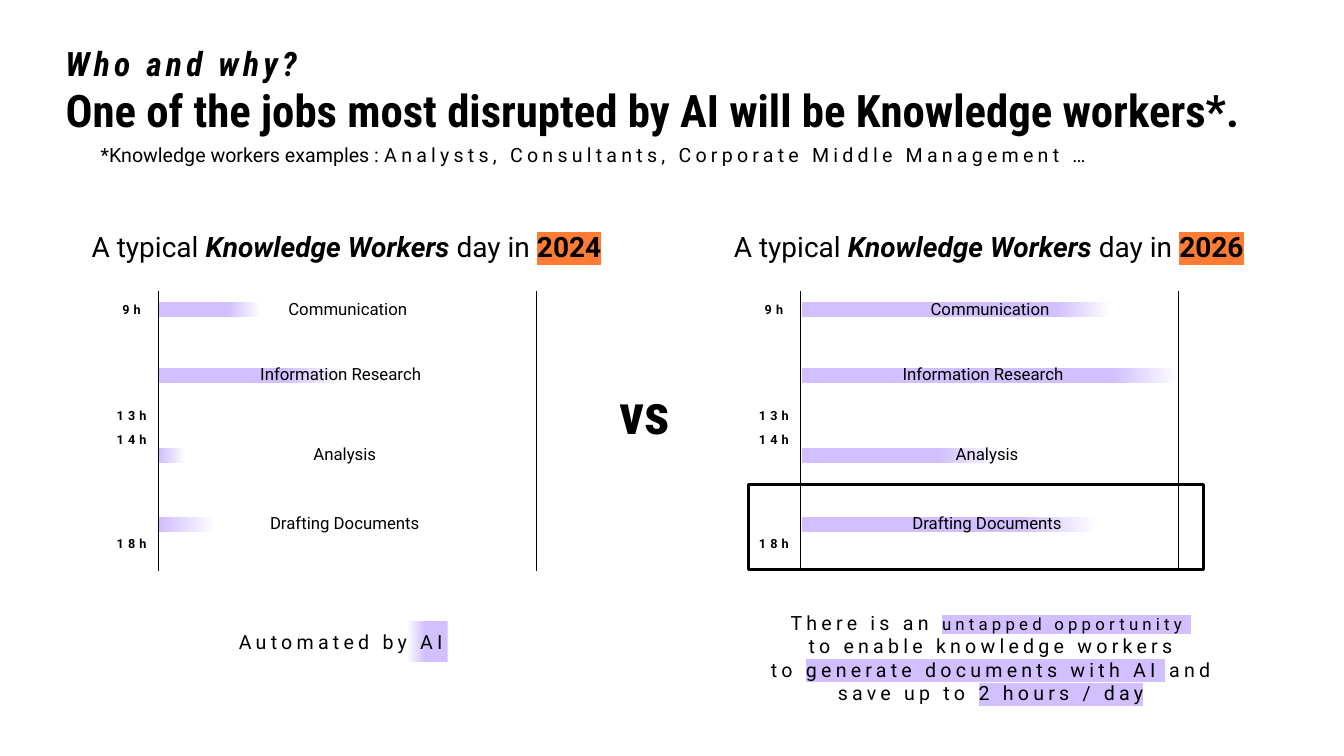
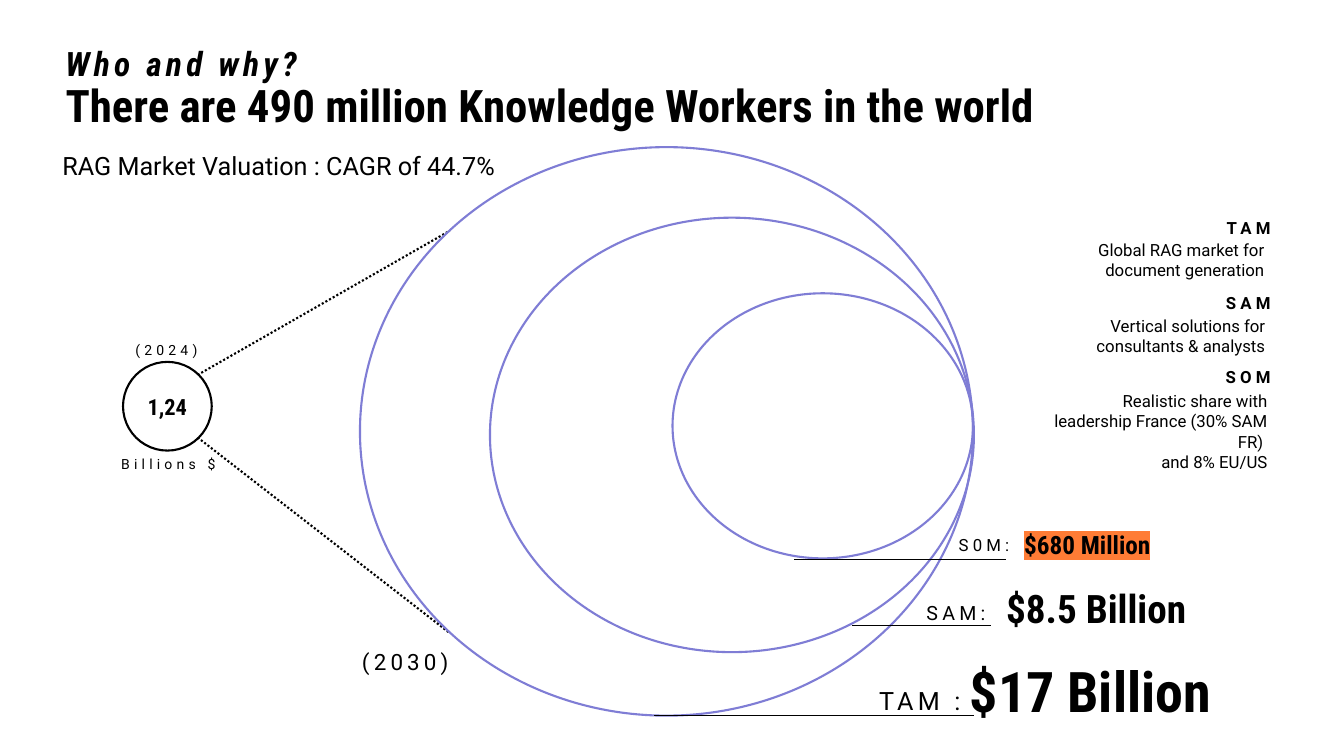
from dataclasses import dataclass, field
from typing import NamedTuple

from lxml.etree import Element, SubElement
from pptx import Presentation
from pptx.dml.color import RGBColor
from pptx.enum.dml import MSO_LINE as Dash
from pptx.enum.shapes import MSO_CONNECTOR as Link, MSO_SHAPE as Form
from pptx.enum.text import MSO_ANCHOR as Anchor, MSO_AUTO_SIZE as Fit, PP_ALIGN as Align
from pptx.oxml.ns import qn
from pptx.util import Inches, Pt

BLACK = RGBColor(0x00, 0x00, 0x00)
WHITE = RGBColor(0xFF, 0xFF, 0xFF)
LILAC = RGBColor(0xD1, 0xBF, 0xFF)
VIOLET = RGBColor(0x7F, 0x7D, 0xD5)
ORANGE = RGBColor(0xFF, 0x7C, 0x35)

BODY = "Roboto"
HEAD = "Roboto Condensed"
WIDE = 3  # letter spacing in points
SHIFT = 6.37  # from the left day plan to the right one


class Area(NamedTuple):
    left: float
    top: float
    width: float
    height: float


@dataclass
class Bit:
    """A run of text and what differs from the format of its box."""
    text: str
    form: dict = field(default_factory=dict)


@dataclass
class Task:
    name: str
    top: float
    mid: float
    fades: tuple  # per plan: where white ends and lilac starts, from the right


@dataclass
class Plan:
    year: str
    shift: float


@dataclass
class Market:
    name: str
    size: int
    at: tuple
    value: str
    big: int
    spot: tuple
    line: tuple  # x from, x to, y
    ring: Area
    mark: RGBColor | None = None


@dataclass
class Note:
    name: str
    top: float
    lines: list
    area: Area


# Text
def style(run, *, size, font=BODY, bold=False, italic=False, gap=0, mark=None) -> None:
    face = run.font
    face.size, face.bold, face.italic = Pt(size), bold, italic
    face.color.rgb = BLACK
    props = run._r.get_or_add_rPr()
    if gap:
        props.set("spc", str(gap * 100))
    if mark is not None:
        glow = Element(qn("a:highlight"))
        SubElement(glow, qn("a:srgbClr")).set("val", str(mark))
        props.find(qn("a:solidFill")).addnext(glow)
    face.name = font


def write(shape, text, *, align=Align.LEFT, anchor=Anchor.TOP, **form):
    """Text is a string, or a list of lines that are each a string or a list of bits."""
    frame = shape.text_frame
    frame.word_wrap, frame.auto_size = True, Fit.NONE
    frame.vertical_anchor = anchor
    for i, line in enumerate([text] if isinstance(text, str) else text):
        para = frame.add_paragraph() if i else frame.paragraphs[0]
        para.alignment = align
        for bit in [Bit(line)] if isinstance(line, str) else line:
            run = para.add_run()
            run.text = bit.text
            style(run, **(form | bit.form))
    return shape


def label(slide, area: Area, text, **form):
    return write(slide.shapes.add_textbox(*map(Inches, area)), text, **form)


# Shapes
def draw(slide, kind, area: Area, line: RGBColor | None = None, weight: float = 1.5):
    shape = slide.shapes.add_shape(kind, *map(Inches, area))
    shape.shadow.inherit = False
    shape.fill.background()
    if line is None:
        shape.line.fill.background()
    else:
        shape.line.color.rgb, shape.line.width = line, Pt(weight)
    return shape


def fade(slide, area: Area, *stops) -> None:
    """Fill from right to left, each stop a percentage and a colour."""
    fill = draw(slide, Form.RECTANGLE, area).fill
    fill.gradient()
    fill.gradient_angle = 180
    for stop, (place, tint) in zip(fill.gradient_stops, stops):
        stop.color.rgb = tint
        stop.position = place / 100


def rule(slide, x1, y1, x2, y2, weight: float, dash=None) -> None:
    line = slide.shapes.add_connector(Link.STRAIGHT, *map(Inches, (x1, y1, x2, y2)))
    line.line.color.rgb, line.line.width = BLACK, Pt(weight)
    if dash is not None:
        line.line.dash_style = dash
    SubElement(line._element.spPr, qn("a:effectLst"))


def start(deck, title: str, top: float):
    slide = deck.slides.add_slide(deck.slide_layouts[5])
    head = slide.shapes.title
    head.left, head.top, head.width, head.height = map(Inches, (0.55, top, 12.6, 0.65))
    write(head, title, size=32, font=HEAD, bold=True)
    label(slide, Area(0.55, 0.38, 4.15, 0.5), "Who and why?", size=24, font=HEAD,
          bold=True, italic=True, gap=WIDE)
    return slide


# Slide 1: the working day
HOURS = {"9h": 2.95, "13h": 4, "14h": 4.24, "18h": 5.27}
TASKS = [
    Task("Communication", 3, 3.45, ((73, 82), (18, 33))),
    Task("Information Research", 3.65, 3.38, ((51, 67), (0, 18))),
    Task("Analysis", 4.44, 3.42, ((93, 100), (47, 64))),
    Task("Drafting Documents", 5.13, 3.42, ((85, 100), (21, 43))),
]
PLANS = [Plan("2024", 0), Plan("2026", SHIFT)]


def schedule(slide, index: int, plan: Plan) -> None:
    dx = plan.shift
    label(slide, Area(0.81 + dx, 2.23, 5.3, 0.5), [[
        Bit("A typical "), Bit("Knowledge Workers ", dict(bold=True, italic=True)),
        Bit("day in "), Bit(plan.year, dict(bold=True, mark=ORANGE))]], size=20)
    for task in TASKS:
        white, lilac = task.fades[index]
        fade(slide, Area(1.58 + dx, task.top, 3.75, 0.15), (white, WHITE), (lilac, LILAC))
        label(slide, Area(task.mid + dx - 1.5, task.top - 0.18, 3, 0.48), task.name,
              size=12, align=Align.CENTER, anchor=Anchor.MIDDLE)
    for x in (1.57, 5.32):
        rule(slide, x + dx, 2.89, x + dx, 5.66, 0.75)
    for hour, top in HOURS.items():
        label(slide, Area(0.97 + dx, top, 0.67, 0.38), hour, size=9, bold=True,
              gap=WIDE, align=Align.CENTER)


def workers(deck) -> None:
    slide = start(deck, "One of the jobs most disrupted by AI will be Knowledge workers*.", 0.77)
    label(slide, Area(0.9, 1.37, 12.24, 0.4), [[
        Bit("*Knowledge workers examples : "),
        Bit("Analysts, Consultants, Corporate Middle Management …", dict(gap=WIDE))]], size=14)
    for index, plan in enumerate(PLANS):
        schedule(slide, index, plan)
    label(slide, Area(4.29, 3.71, 4.2, 0.85), "vs", size=40, font=HEAD, bold=True,
          align=Align.CENTER)
    draw(slide, Form.RECTANGLE, Area(7.42, 4.81, 4.52, 0.84), BLACK, 2.25)

    # Legend and conclusion
    fade(slide, Area(3.16, 6.16, 1.28, 0.41), (17, LILAC), (32, WHITE))
    spaced = dict(size=14, gap=WIDE, align=Align.CENTER)
    label(slide, Area(2.17, 6.2, 2.42, 0.41), "Automated by AI", **spaced)
    mark = dict(mark=LILAC)
    label(slide, Area(6.8, 6.01, 6.05, 1.2), [
        [Bit("There is an "), Bit("untapped opportunity ", mark | dict(size=12))],
        "to enable knowledge workers",
        [Bit("to "), Bit("generate documents with AI ", mark), Bit("and")],
        [Bit("save up to "), Bit("2 hours / day", mark)]], **spaced)


# Slide 2: the market
MARKETS = [
    Market("TAM :", 18, (8.62, 6.75), "$17 Billion", 40, (9.52, 6.46),
           (6.49, 9.66, 7.1), Area(3.57, 1.46, 6.08, 5.64)),
    Market("SAM:", 14, (9.09, 5.91), "$8.5 Billion", 28, (9.88, 5.75),
           (8.45, 9.83, 6.2), Area(4.86, 2.16, 4.8, 4.31)),
    Market("S0M:", 12, (9.41, 5.26), "$680 Million", 18, (10.06, 5.2),
           (7.88, 9.98, 5.55), Area(6.67, 2.91, 2.98, 2.63), ORANGE),
]
NOTES = [
    Note("TAM", 2.11, ["Global RAG market for document generation"],
         Area(10.24, 2.33, 2.4, 0.5)),
    Note("SAM", 2.85, ["Vertical solutions for consultants & analysts"],
         Area(10.59, 3.08, 2.06, 0.5)),
    Note("SOM", 3.59, ["Realistic share with leadership France (30% SAM FR) ",
                       "and 8% EU/US"], Area(10.25, 3.83, 2.42, 0.9)),
]


def market(deck) -> None:
    slide = start(deck, "There are 490 million Knowledge Workers in the world", 0.72)
    label(slide, Area(0.52, 1.44, 6, 0.45), "RAG Market Valuation : CAGR of 44.7%", size=18)

    # Today's value and its growth
    now = draw(slide, Form.OVAL, Area(1.22, 3.59, 0.88, 0.88), BLACK)
    write(now, "1,24", size=16, font=HEAD, bold=True, align=Align.CENTER, anchor=Anchor.MIDDLE)
    for text, left, top, size in (("(2024)", 0.44, 3.34, 10), ("Billions $", 0.46, 4.47, 10),
                                  ("(2030)", 2.81, 6.38, 16)):
        label(slide, Area(left, top, 2.42, 0.41), text, size=size, gap=WIDE,
              align=Align.CENTER)
    for y1, y2 in ((3.72, 2.29), (4.34, 6.28)):
        rule(slide, 1.96, y1, 4.46, y2, 1.5, Dash.ROUND_DOT)

    # Nested markets
    for item in MARKETS:
        draw(slide, Form.OVAL, item.ring, VIOLET)
    for item in MARKETS:
        x1, x2, y = item.line
        rule(slide, x1, y, x2, y, 0.5)
        label(slide, Area(*item.at, 1.4, 0.41), item.name, size=item.size, gap=WIDE)
        label(slide, Area(*item.spot, 3, 0.8), item.value, size=item.big, font=HEAD,
              bold=True, mark=item.mark)

    # Definitions
    for note in NOTES:
        label(slide, Area(10.28, note.top, 2.42, 0.41), note.name, size=12, bold=True,
              gap=WIDE, align=Align.RIGHT)
        label(slide, note.area, note.lines, size=12, align=Align.RIGHT)


def main() -> None:
    deck = Presentation()
    deck.slide_width, deck.slide_height = Inches(13.33), Inches(7.5)
    workers(deck)
    market(deck)
    deck.save("out.pptx")


if __name__ == "__main__":
    main()
